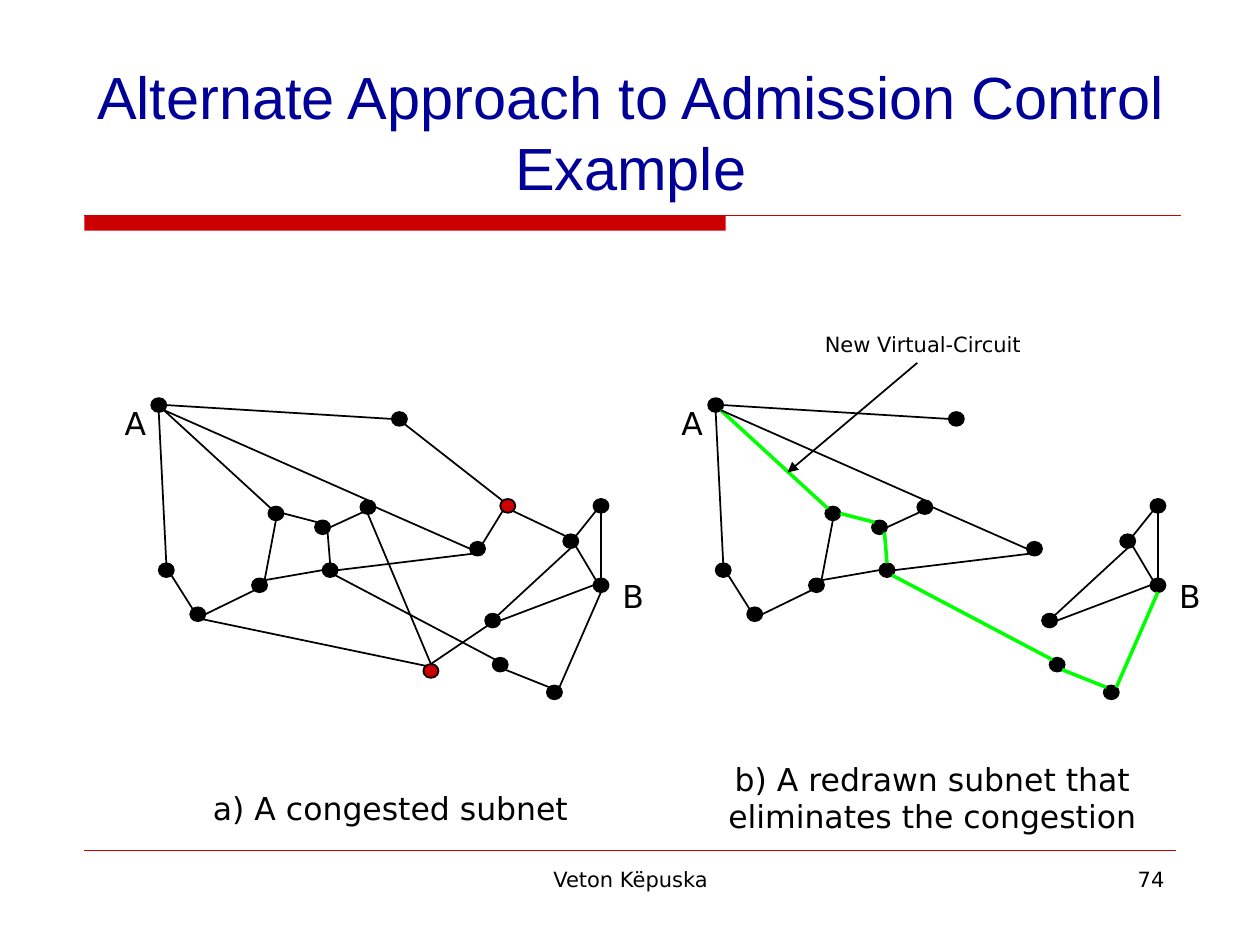
from typing import NamedTuple

from lxml.etree import SubElement
from pptx import Presentation
from pptx.dml.color import RGBColor
from pptx.enum.shapes import MSO_CONNECTOR, MSO_SHAPE
from pptx.enum.text import MSO_ANCHOR, MSO_AUTO_SIZE, PP_ALIGN
from pptx.oxml.ns import qn
from pptx.util import Inches, Pt

BLACK = RGBColor(0x00, 0x00, 0x00)
RED = RGBColor(0xCC, 0x00, 0x00)
GREEN = RGBColor(0x00, 0xFF, 0x00)
NAVY = RGBColor(0x00, 0x00, 0x99)
BODY_FONT = "DejaVu Sans"

DOT_W, DOT_H = 0.12, 0.11
SUBNET_GAP = 4.42  # from the congested subnet to the redrawn one
# Where a link can touch a dot, as an offset from the dot's centre
DIAGONAL = 0.04
SIDES = {
    "n": (0, -DOT_H / 2), "s": (0, DOT_H / 2),
    "w": (-DOT_W / 2, 0), "e": (DOT_W / 2, 0),
    "nw": (-DIAGONAL, -DIAGONAL), "ne": (DIAGONAL, -DIAGONAL),
    "sw": (-DIAGONAL, DIAGONAL), "se": (DIAGONAL, DIAGONAL),
}


class Router(NamedTuple):
    left: float
    top: float
    congested: bool = False

    def side(self, name: str) -> tuple[float, float]:
        dx, dy = SIDES[name]
        return self.left + DOT_W / 2 + dx, self.top + DOT_H / 2 + dy


class Link(NamedTuple):
    start: str
    start_side: str
    end: str
    end_side: str
    on_circuit: bool = False


class Label(NamedTuple):
    text: str
    left: float
    top: float
    width: float
    height: float
    size: int = 18
    align: PP_ALIGN = PP_ALIGN.CENTER


ROUTERS = {
    "A": Router(1.2, 3.16), "C": Router(1.26, 4.47), "D": Router(1.51, 4.82),
    "E": Router(2.0, 4.59), "F": Router(2.13, 4.02), "G": Router(2.5, 4.13),
    "H": Router(2.56, 4.47), "I": Router(2.86, 3.97),
    "J": Router(3.36, 5.27, congested=True), "K": Router(3.85, 4.87),
    "L": Router(3.91, 5.22), "M": Router(4.34, 5.44), "B": Router(4.71, 4.59),
    "N": Router(4.47, 4.24), "O": Router(4.71, 3.96),
    "P": Router(3.97, 3.96, congested=True), "Q": Router(3.73, 4.3),
    "R": Router(3.11, 3.27),
}
LINKS = [
    Link("A", "s", "C", "n"), Link("C", "se", "D", "nw"),
    Link("E", "sw", "D", "e"), Link("F", "s", "E", "ne"),
    Link("H", "w", "E", "ne"), Link("F", "e", "G", "nw", True),
    Link("G", "se", "H", "n", True), Link("A", "se", "F", "nw", True),
    Link("A", "e", "R", "w"), Link("R", "se", "P", "nw"),
    Link("A", "se", "I", "n"), Link("G", "e", "I", "sw"),
    Link("I", "e", "Q", "w"), Link("H", "e", "Q", "sw"),
    Link("D", "se", "J", "nw"), Link("I", "s", "J", "n"),
    Link("P", "sw", "Q", "ne"), Link("P", "se", "N", "nw"),
    Link("O", "sw", "N", "ne"), Link("O", "s", "B", "n"),
    Link("N", "se", "B", "nw"), Link("B", "s", "M", "ne", True),
    Link("L", "se", "M", "nw", True), Link("L", "nw", "H", "se", True),
    Link("J", "n", "K", "sw"), Link("K", "e", "B", "w"),
    Link("K", "ne", "N", "s"),
]
END_LABELS = [Label("A", 0.89, 3.16, 0.31, 0.4), Label("B", 4.84, 4.53, 0.31, 0.4)]
CAPTIONS = [
    Label("a) A congested subnet", 1.31, 6.21, 3.58, 0.4),
    Label("b) A redrawn subnet that eliminates the congestion", 5.61, 5.98, 3.58, 0.7),
    Label("New Virtual-Circuit", 6.41, 2.58, 1.83, 0.3, 12),
    Label("Veton Këpuska", 3.42, 6.83, 3.17, 0.52, 12),
    Label("74", 7.17, 6.83, 2.17, 0.52, 12, PP_ALIGN.RIGHT),
]


def style_font(font, **values) -> None:
    color = values.pop("color")
    for name, value in values.items():
        setattr(font, name, value)
    font.color.rgb = color


def add_line(shapes, start: tuple[float, float], end: tuple[float, float],
             color: RGBColor = BLACK, width: float = 1):
    line = shapes.add_connector(
        MSO_CONNECTOR.STRAIGHT, *(Inches(v) for v in (*start, *end)))
    line.line.color.rgb = color
    line.line.width = Pt(width)
    SubElement(line._element.spPr, qn("a:effectLst"))
    return line


def add_label(shapes, label: Label) -> None:
    box = shapes.add_textbox(*(Inches(v) for v in label[1:5]))
    tf = box.text_frame
    tf.word_wrap = True
    p = tf.paragraphs[0]
    p.alignment = label.align
    r = p.add_run()
    r.text = label.text
    style_font(r.font, name=BODY_FONT, size=Pt(label.size), color=BLACK)


def add_dot(shapes, router: Router) -> None:
    dot = shapes.add_shape(MSO_SHAPE.OVAL, Inches(router.left), Inches(router.top),
                           Inches(DOT_W), Inches(DOT_H))
    dot.shadow.inherit = False
    dot.fill.solid()
    dot.fill.fore_color.rgb = RED if router.congested else BLACK
    dot.line.color.rgb = BLACK
    dot.line.width = Pt(1)


def draw_subnet(shapes, offset: float, redrawn: bool) -> None:
    """A redrawn subnet drops the congested routers and marks the new circuit."""
    routers = {name: router._replace(left=router.left + offset)
               for name, router in ROUTERS.items()
               if not (redrawn and router.congested)}
    for router in routers.values():
        add_dot(shapes, router)
    for link in LINKS:
        if link.start in routers and link.end in routers:
            marked = redrawn and link.on_circuit
            add_line(shapes, routers[link.start].side(link.start_side),
                     routers[link.end].side(link.end_side),
                     GREEN if marked else BLACK, 2 if marked else 1)
    for label in END_LABELS:
        add_label(shapes, label._replace(left=label.left + offset))


def add_title(s, text: str) -> None:
    title = s.shapes.title
    box = {"left": 0.63, "top": 0.33, "width": 8.75, "height": 1.33}
    for name, value in box.items():
        setattr(title, name, Inches(value))
    tf = title.text_frame
    tf.auto_size = MSO_AUTO_SIZE.NONE
    tf.vertical_anchor = MSO_ANCHOR.BOTTOM
    p = tf.paragraphs[0]
    p.alignment = PP_ALIGN.CENTER
    r = p.add_run()
    r.text = text
    style_font(r.font, name="Arial", size=Pt(34), color=NAVY)


def add_rules(shapes) -> None:
    bar = shapes.add_shape(MSO_SHAPE.RECTANGLE, Inches(0.67), Inches(1.71),
                           Inches(5.09), Inches(0.12))
    bar.shadow.inherit = False
    bar.fill.solid()
    bar.fill.fore_color.rgb = RED
    bar.line.fill.background()
    add_line(shapes, (0.67, 1.71), (9.37, 1.71), RED, 0.75)
    add_line(shapes, (0.67, 6.75), (9.33, 6.75), RED, 0.25)


def main() -> None:
    prs = Presentation()
    prs.slide_width, prs.slide_height = Inches(10), Inches(7.5)
    s = prs.slides.add_slide(prs.slide_layouts[5])
    add_rules(s.shapes)
    add_title(s, "Alternate Approach to Admission Control Example")
    draw_subnet(s.shapes.add_group_shape().shapes, 0, redrawn=False)
    draw_subnet(s.shapes, SUBNET_GAP, redrawn=True)
    for caption in CAPTIONS:
        add_label(s.shapes, caption)
    arrow = add_line(s.shapes, (7.28, 2.88), (6.25, 3.75))
    SubElement(arrow.line._get_or_add_ln(), qn("a:tailEnd"), type="triangle")
    prs.save("out.pptx")


if __name__ == "__main__":
    main()
